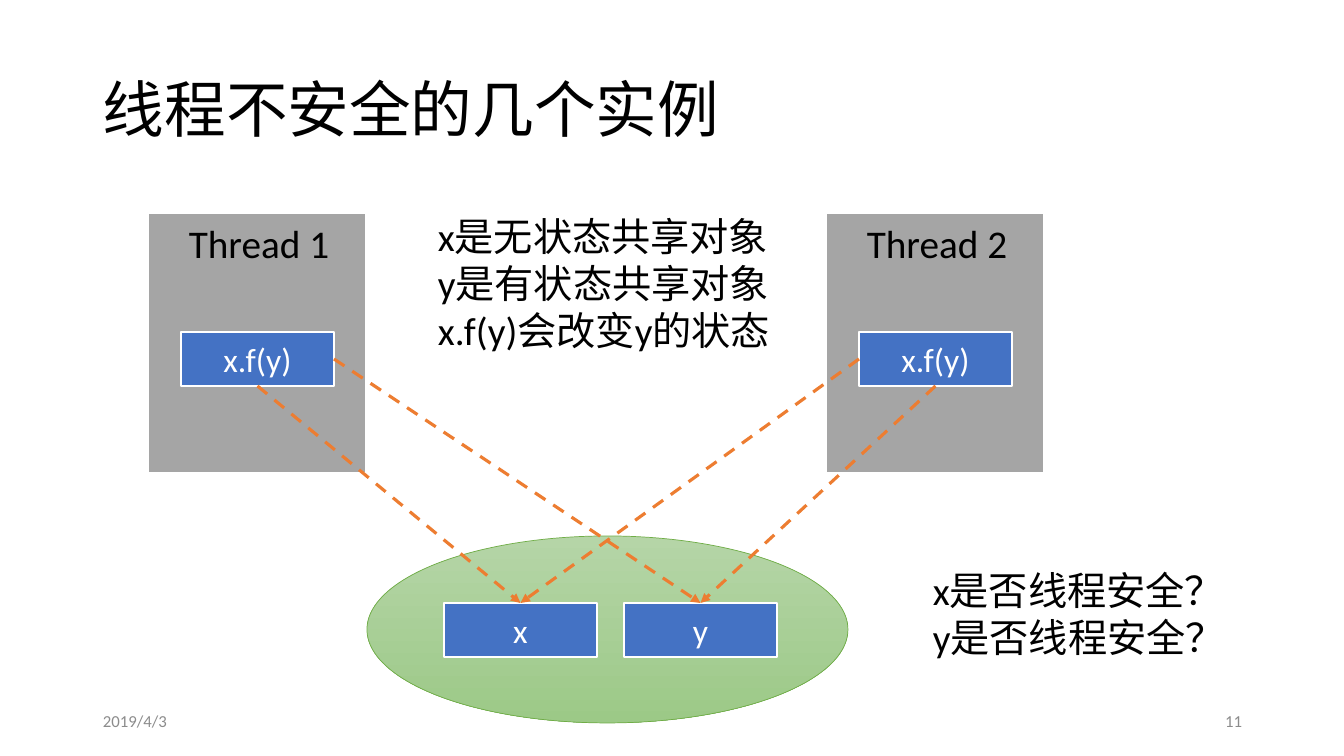
from lxml import etree
from pptx import Presentation
from pptx.dml.color import RGBColor
from pptx.enum import dml, shapes, text
from pptx.oxml.ns import qn
from pptx.util import Emu, Pt

EMU_PER_PX = 914400 / 100.8
FONT = "Calibri"
COLORS = {
    "black": "000000", "white": "FFFFFF", "muted": "8C8C8C",
    "thread": "A5A5A5", "call": "4472C4", "arrow": "ED7D31",
    "heap_top": "B5D5A7", "heap_bottom": "9CC987", "heap_line": "70AD47",
}
ALIGN = {"l": text.PP_ALIGN.LEFT, "c": text.PP_ALIGN.CENTER, "r": text.PP_ALIGN.RIGHT}


def px(n):
    return Emu(round(n * EMU_PER_PX))


def rgb(name):
    return RGBColor.from_string(COLORS[name])


def write(tf, lines, size=28, color="black", align="l", middle=False, wrap=True, spacing=None):
    tf.word_wrap = wrap
    tf.vertical_anchor = text.MSO_ANCHOR.MIDDLE if middle else text.MSO_ANCHOR.TOP
    for i, line in enumerate(lines):
        p = tf.add_paragraph() if i else tf.paragraphs[0]
        p.alignment = ALIGN[align]
        if spacing:
            p.line_spacing = spacing
        r = p.add_run()
        r.text = line
        r.font.size, r.font.name = Pt(size), FONT
        r.font.color.rgb = rgb(color)


class Canvas:
    def __init__(self, prs):
        self.s = prs.slides.add_slide(prs.slide_layouts[6])

    def label(self, box, *lines, **fmt):
        sp = self.s.shapes.add_textbox(*map(px, box))
        write(sp.text_frame, lines, **fmt)

    def shape(self, kind, box, line, width):
        sp = self.s.shapes.add_shape(kind, *map(px, box))
        sp.shadow.inherit = False
        sp.line.color.rgb, sp.line.width = rgb(line), Pt(width)
        return sp

    def rect(self, box, fill, caption=None):
        sp = self.shape(shapes.MSO_SHAPE.RECTANGLE, box, "white", 1.5)
        sp.fill.solid()
        sp.fill.fore_color.rgb = rgb(fill)
        if caption:
            write(sp.text_frame, [caption], size=24, color="white", align="c", middle=True)
        return sp

    def ellipse(self, box, top, bottom, line):
        sp = self.shape(shapes.MSO_SHAPE.OVAL, box, line, 0.5)
        sp.fill.gradient()
        sp.fill.gradient_angle = 270
        for stop, name, pos in zip(sp.fill.gradient_stops, (top, bottom), (0, 1)):
            stop.color.rgb, stop.position = rgb(name), pos

    def arrow(self, start, start_site, end):
        c = self.s.shapes.add_connector(shapes.MSO_CONNECTOR.STRAIGHT, 0, 0, 0, 0)
        c.begin_connect(start, start_site)
        c.end_connect(end, TOP)
        c.line.color.rgb, c.line.width = rgb("arrow"), Pt(2.25)
        c.line.dash_style = dml.MSO_LINE.DASH
        etree.SubElement(c.line._get_or_add_ln(), qn("a:tailEnd"), type="triangle")
        etree.SubElement(c._element.spPr, qn("a:effectLst"))


# Connection sites of a rectangle
TOP, LEFT, BOTTOM, RIGHT = range(4)

prs = Presentation()
prs.slide_width, prs.slide_height = px(1344), px(756)
slide = Canvas(prs)

# Title and footer
slide.label((93, 40, 1159, 146), "线程不安全的几个实例", size=44, middle=True, spacing=0.9)
slide.label((950, 701, 302, 40), "11", size=12, color="muted", align="r", middle=True)
slide.label((93, 701, 302, 40), "2019/4/3", size=12, color="muted", middle=True)

# Threads, each with its call
calls = []
for i, left in enumerate((148, 826), 1):
    slide.rect((left, 213, 218, 260), "thread")
    calls.append(slide.rect((left + 33, 332, 153, 54), "call", "x.f(y)"))
    slide.label((left + 31, 214, 162, 57), f"Thread {i}", wrap=False)

# Shared objects
slide.ellipse((367, 536, 481, 187), "heap_top", "heap_bottom", "heap_line")
obj_x, obj_y = [slide.rect((left, 603, 153, 54), "call", name)
                for left, name in ((444, "x"), (624, "y"))]

# References from the calls to the objects
for call, site, target in ((calls[0], BOTTOM, obj_x), (calls[0], RIGHT, obj_y),
                           (calls[1], LEFT, obj_x), (calls[1], BOTTOM, obj_y)):
    slide.arrow(call, site, target)

# Explanation and questions
slide.label((428, 207, 356, 152), "x是无状态共享对象", "y是有状态共享对象", "x.f(y)会改变y的状态")
slide.label((923, 561, 316, 105), "x是否线程安全？", "y是否线程安全？")

prs.save("out.pptx")
